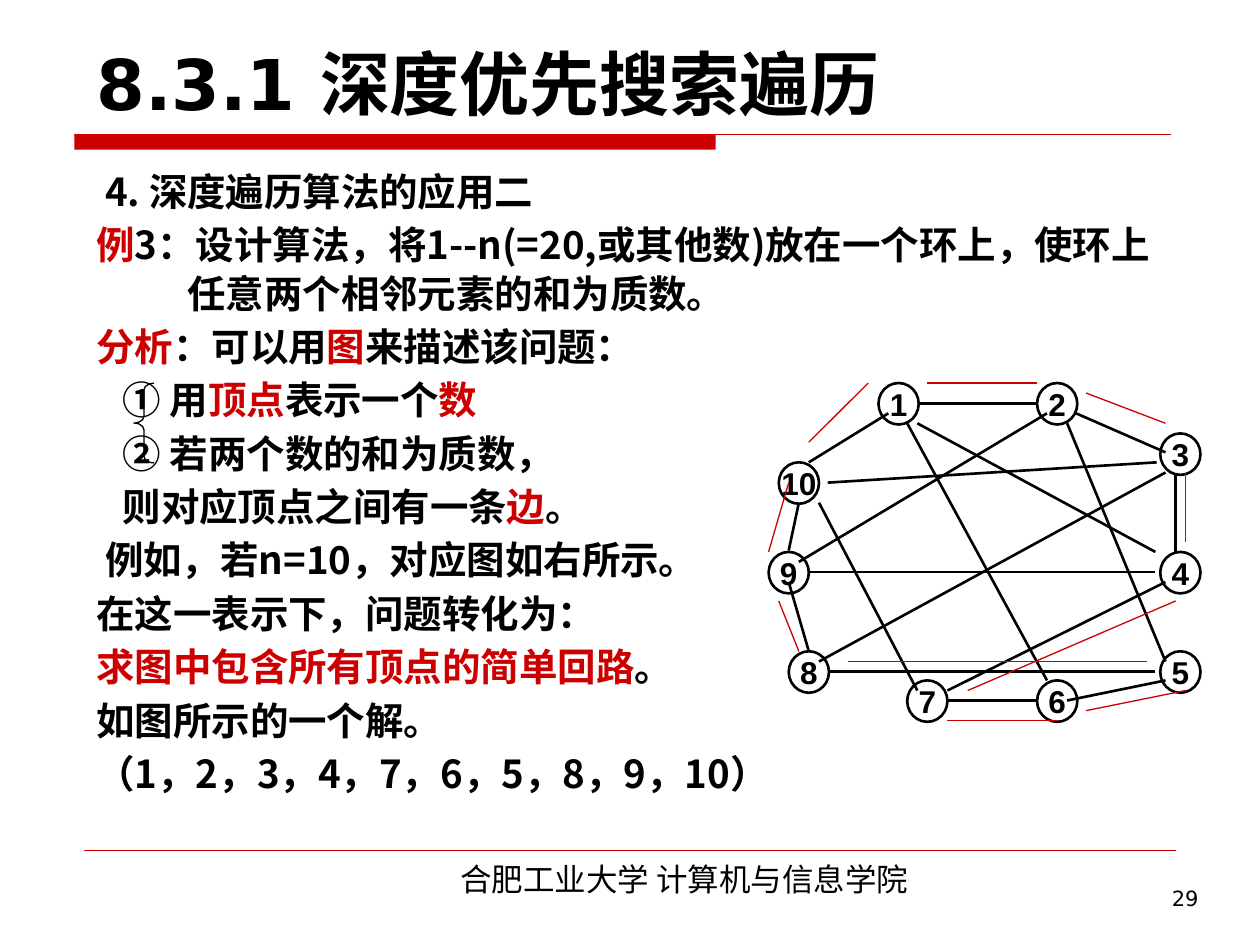
"""Build the slide on depth-first traversal and the prime ring."""
from dataclasses import dataclass

from pptx import Presentation
from pptx.dml.color import RGBColor
from pptx.enum.shapes import MSO_CONNECTOR as Link, MSO_SHAPE as Preset
from pptx.enum.text import MSO_ANCHOR as Anchor, MSO_AUTO_SIZE as Fit, PP_ALIGN as Align
from pptx.oxml.ns import qn
from pptx.util import Pt
from lxml.etree import SubElement


@dataclass(frozen=True)
class Theme:
    ink: RGBColor = RGBColor(0, 0, 0)
    accent: RGBColor = RGBColor(0xCC, 0, 0)
    chinese: str = "Noto Sans CJK SC"
    display: str = "DejaVu Sans"
    digits: str = "Arial"
    title: float = 40
    body: float = 22
    label: float = 18
    number: float = 12
    body_line: float = 27.7
    body_gap: float = 2.8


class SlideWriter:
    """Hold the theme and the current slide."""

    def __init__(self, slide, theme):
        self.slide, self.theme = slide, theme

    def style(self, run, face, size, bold=False, color=None):
        """Format one run for Latin and Chinese letters."""
        font = run.font
        font.name, font.size, font.bold = face, Pt(size), bold
        font.color.rgb = color or self.theme.ink
        SubElement(font._element, qn("a:ea"), typeface=self.theme.chinese)

    def frame(self, holder, anchor=Anchor.TOP):
        """Prepare a wrapping text frame of fixed size."""
        frame = holder.text_frame
        frame.word_wrap, frame.auto_size = True, Fit.NONE
        frame.vertical_anchor = anchor
        return frame

    def title(self, text, left, top, width, height):
        """Place and format the title placeholder."""
        heading = self.slide.shapes.title
        heading.left, heading.top = Pt(left), Pt(top)
        heading.width, heading.height = Pt(width), Pt(height)
        frame = self.frame(heading, Anchor.BOTTOM)
        frame.text = text
        frame.paragraphs[0].alignment = Align.LEFT
        self.style(frame.paragraphs[0].runs[0], self.theme.display, self.theme.title, True)

    def box(self, left, top, width, height):
        """Add a text box and return its frame."""
        return self.frame(self.slide.shapes.add_textbox(Pt(left), Pt(top), Pt(width), Pt(height)))

    def note(self, text, bounds, face, size, align):
        """Add one line of plain text."""
        frame = self.box(*bounds)
        frame.text = text
        frame.paragraphs[0].alignment = align
        self.style(frame.paragraphs[0].runs[0], face, size)

    def body(self, lines, bounds):
        """Add paragraphs whose odd pieces, split at bars, are accented."""
        theme, frame = self.theme, self.box(*bounds)
        for place, (margin, indent, marked) in enumerate(lines):
            paragraph = frame.add_paragraph() if place else frame.paragraphs[0]
            paragraph.line_spacing = Pt(theme.body_line)
            paragraph.space_before = Pt(theme.body_gap if place else 0)
            properties = paragraph._p.get_or_add_pPr()
            properties.set("marL", str(Pt(margin)))
            properties.set("indent", str(Pt(indent)))
            for piece, words in enumerate(marked.split("|")):
                if words:
                    run = paragraph.add_run()
                    run.text = words
                    color = theme.accent if piece % 2 else theme.ink
                    self.style(run, theme.chinese, theme.body, True, color)

    def line(self, x1, y1, x2, y2, color, weight):
        """Draw a straight line."""
        stroke = self.slide.shapes.add_connector(Link.STRAIGHT, Pt(x1), Pt(y1), Pt(x2), Pt(y2))
        stroke.line.color.rgb, stroke.line.width = color, Pt(weight)
        SubElement(stroke._element.spPr, qn("a:effectLst"))

    def shape(self, preset, left, top, width, height):
        """Add a preset shape without shadow."""
        figure = self.slide.shapes.add_shape(preset, Pt(left), Pt(top), Pt(width), Pt(height))
        figure.shadow.inherit = False
        return figure

    def bar(self, *bounds):
        """Draw a solid accent bar."""
        block = self.shape(Preset.RECTANGLE, *bounds)
        block.fill.solid()
        block.fill.fore_color.rgb = self.theme.accent
        block.line.fill.background()

    def outline(self, preset, bounds, weight):
        """Draw an unfilled ink outline."""
        figure = self.shape(preset, *bounds)
        figure.fill.background()
        figure.line.color.rgb, figure.line.width = self.theme.ink, Pt(weight)
        return figure

    def brace(self, *bounds):
        """Draw a left brace."""
        self.outline(Preset.LEFT_BRACE, bounds, 0.75).adjustments[0] = 0.33

    def vertex(self, number, left, top):
        """Draw a numbered graph vertex."""
        frame = self.outline(Preset.OVAL, (left, top, 23, 23.7), 1.5).text_frame
        frame.word_wrap, frame.vertical_anchor = False, Anchor.MIDDLE
        frame.text = str(number)
        frame.paragraphs[0].alignment = Align.CENTER
        self.style(frame.paragraphs[0].runs[0], self.theme.digits, self.theme.label, True)


LINES = [
    (5, 0, "4. 深度遍历算法的应用二"),
    (52, -52, "|例|3：设计算法，将1--n(=20,或其他数)放在一个环上，使环上任意两个相邻元素的和为质数。"),
    (0, 0, "|分析|：可以用|图|来描述该问题："),
    (15, 0, "① 用|顶点|表示一个|数"),
    (15, 0, "② 若两个数的和为质数，"),
    (15, 0, "则对应顶点之间有一条|边|。"),
    (5, 0, "例如，若n=10，对应图如右所示。"),
    (0, 0, "在这一表示下，问题转化为："),
    (0, 0, "|求图中包含所有顶点的简单回路|。"),
    (0, 0, "如图所示的一个解。"),
    (0, 0, "（1，2，3，4，7，6，5，8，9，10）"),
]
VERTICES = {
    1: (502, 218.9), 2: (592.6, 218.9), 3: (663, 247.7), 4: (663, 315.4), 5: (663, 372.2),
    6: (592.6, 388.8), 7: (518.4, 388.8), 8: (450.7, 372.2), 9: (439.2, 315.4), 10: (445, 264.2),
}
EDGES = [
    (525.6, 230.4, 592.6, 230.4), (592.6, 400.3, 541.4, 400.3), (473, 275.8, 661, 264.2),
    (671.8, 270, 671.8, 315.4), (614.9, 236.2, 666, 258.5), (666, 378, 609.8, 241.9),
    (666, 388.8, 609.8, 400.3), (462.2, 372.2, 450.7, 332.6), (541.4, 394.6, 666, 332.6),
    (456.5, 321.1, 598.3, 236.2), (518.4, 241.9, 598.3, 388.8), (507.6, 236.2, 462.2, 264.2),
    (462.2, 326.9, 660.2, 326.9), (468, 287.3, 524.2, 394.6), (468, 378, 666, 270),
    (473, 383.8, 660.2, 383.8), (450.7, 314.6, 456.5, 287.3), (524.2, 241.9, 660.2, 315.4),
]
CIRCUIT = [
    (529.9, 218.9, 592.6, 218.9), (620.6, 224.6, 666, 241.9), (677.5, 270, 677.5, 309.6),
    (671.8, 343.4, 553, 394.6), (541.4, 411.8, 604.1, 411.8), (620.6, 406.1, 677.5, 394.6),
    (484.6, 378, 655.2, 378), (445, 343.4, 456.5, 372.2), (450.7, 275.8, 439.2, 315.4),
    (496.1, 218.9, 462.2, 252.7),
]


def main():
    """Compose and save the slide."""
    deck = Presentation()
    deck.slide_width, deck.slide_height = Pt(720), Pt(540)
    theme = Theme()
    writer = SlideWriter(deck.slides.add_slide(deck.slide_layouts[5]), theme)

    writer.bar(42.5, 77, 366.5, 8.6)
    writer.line(42.5, 77, 669, 77, theme.accent, 0.75)
    writer.line(48, 486, 672, 486, theme.accent, 0.25)
    writer.note("合肥工业大学 计算机与信息学院", (173, 488, 436, 29),
                theme.chinese, theme.label, Align.CENTER)
    writer.title("8.3.1 深度优先搜索遍历", 48, -21, 630, 96)
    writer.body(LINES, (48, 91, 629.5, 389))
    writer.brace(76.5, 219, 11.5, 45.5)
    for edge in EDGES:
        writer.line(*edge, theme.ink, 1.5)
    for number, corner in VERTICES.items():
        writer.vertex(number, *corner)
    for step in CIRCUIT:
        writer.line(*step, theme.accent, 0.75)
    writer.note("29", (535.5, 502.5, 156.5, 37.5), theme.display, theme.number, Align.RIGHT)
    deck.save("out.pptx")


if __name__ == "__main__":
    main()
